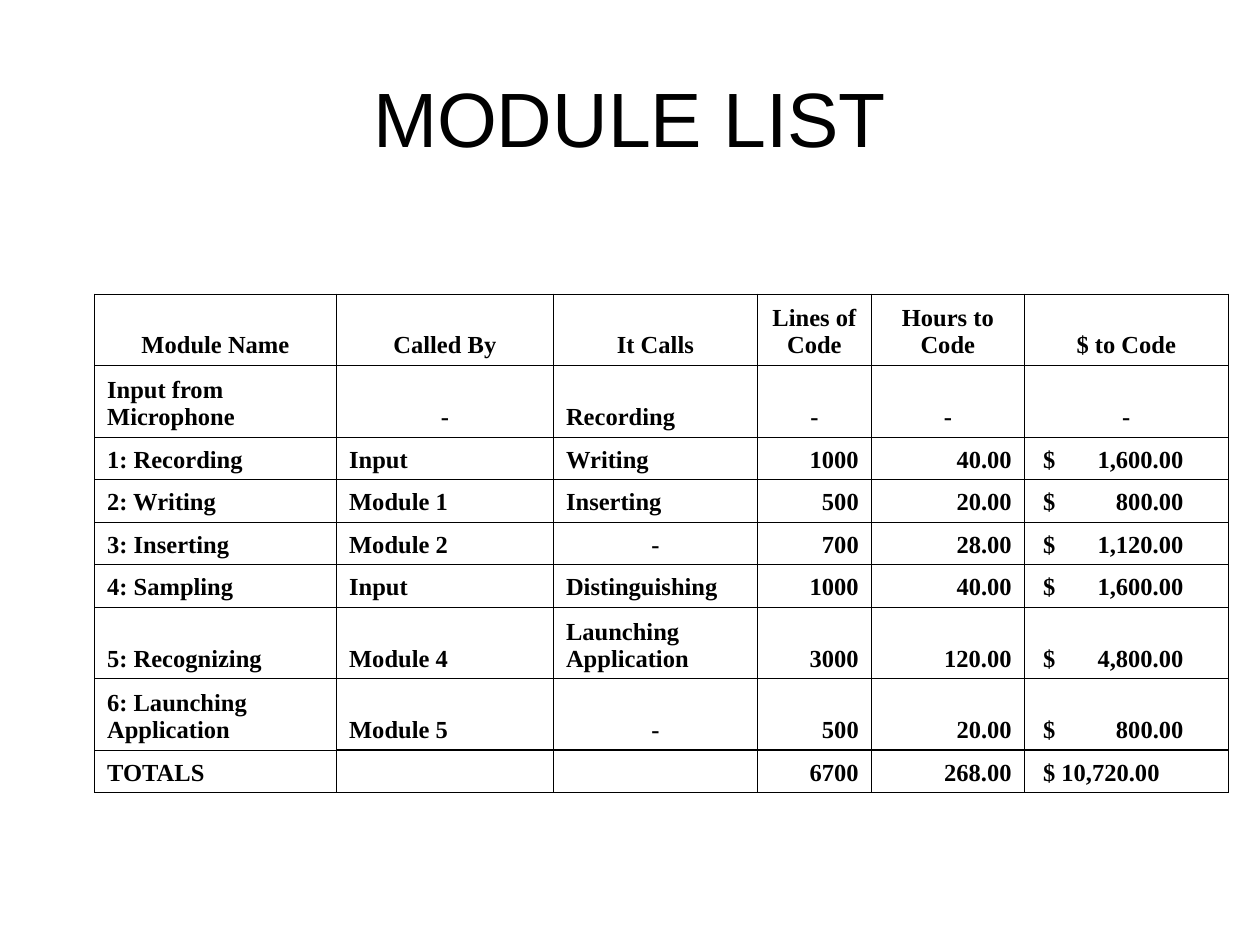
import lxml.etree
import pptx
import pptx.dml.color
import pptx.enum.text
import pptx.oxml.ns
import pptx.util

Pt = pptx.util.Pt
qn = pptx.oxml.ns.qn
ALIGN = pptx.enum.text.PP_ALIGN
ANCHOR = pptx.enum.text.MSO_ANCHOR

COLORS = {"ink": "000000"}
TITLE_FONT = {"name": "Arial", "size": Pt(44), "bold": False}
CELL_FONT = {"name": "Times New Roman", "size": Pt(14), "bold": True}
TITLE_BOX = (36, 21.6, 648, 90)
TABLE_BOX = (54, 168, 648, 285.1)
COLUMN_WIDTHS = [138.3, 124, 116.6, 65.1, 87.4, 116.6]
TALL_ROW, SHORT_ROW = 40.9, 24.3
TALL_ROWS = {0, 1, 6, 7}
THIN, THICK = 0.45, 0.96
COUNT_COLUMNS = {3, 4}
MONEY_INDENT, MONEY_TAB = 10.7, 80.3

MODULES = [
    ["Module Name", "Called By", "It Calls", "Lines of Code", "Hours to Code", "$ to Code"],
    ["Input from Microphone", "-", "Recording", "-", "-", "-"],
    ["1: Recording", "Input", "Writing", "1000", "40.00", "$\t1,600.00"],
    ["2: Writing", "Module 1", "Inserting", "500", "20.00", "$\t800.00"],
    ["3: Inserting", "Module 2", "-", "700", "28.00", "$\t1,120.00"],
    ["4: Sampling", "Input", "Distinguishing", "1000", "40.00", "$\t1,600.00"],
    ["5: Recognizing", "Module 4", "Launching Application", "3000", "120.00", "$\t4,800.00"],
    ["6: Launching Application", "Module 5", "-", "500", "20.00", "$\t800.00"],
    ["TOTALS", "", "", "6700", "268.00", "$ 10,720.00"],
]


def format_span(span, values):
    """Apply font values and the ink colour to a run."""
    for name, value in values.items():
        setattr(span.font, name, value)
    span.font.color.rgb = pptx.dml.color.RGBColor.from_string(COLORS["ink"])


def add_title(page, box, text):
    """Place and format the title placeholder in the box."""
    title = page.shapes.title
    title.left, title.top, title.width, title.height = map(Pt, box)
    title.text_frame.vertical_anchor = ANCHOR.MIDDLE
    para = title.text_frame.paragraphs[0]
    para.alignment = ALIGN.CENTER
    span = para.add_run()
    span.text = text
    format_span(span, TITLE_FONT)


def set_borders(cell, widths):
    """Draw the four borders of a cell, given widths by side."""
    properties = cell._tc.get_or_add_tcPr()
    for side, width in widths.items():
        line = lxml.etree.SubElement(properties, qn(f"a:ln{side}"), w=str(int(Pt(width))))
        fill = lxml.etree.SubElement(line, qn("a:solidFill"))
        lxml.etree.SubElement(fill, qn("a:srgbClr"), val=COLORS["ink"])


def add_right_tab(para, position):
    """Give a paragraph one right-aligned tab stop."""
    tabs = lxml.etree.SubElement(para._p.get_or_add_pPr(), qn("a:tabLst"))
    lxml.etree.SubElement(tabs, qn("a:tab"), pos=str(int(Pt(position))), algn="r")


def cell_alignment(text, row, column):
    """Choose the alignment that suits the content of a cell."""
    if row == 0 or text == "-":
        return ALIGN.CENTER
    return ALIGN.RIGHT if column in COUNT_COLUMNS else ALIGN.LEFT


def fill_cell(cell, text, row, column):
    """Write and format one cell of the module table."""
    last = len(MODULES) - 1
    above_totals = row == last - 1 and column > 0
    in_totals = row == last and column > 0
    set_borders(cell, {"L": THIN, "R": THIN, "T": THICK if in_totals else THIN,
                       "B": THICK if above_totals else THIN})
    cell.fill.background()
    cell.vertical_anchor = ANCHOR.BOTTOM
    para = cell.text_frame.paragraphs[0]
    para.alignment = cell_alignment(text, row, column)
    if row > 0 and text.startswith("$"):
        cell.margin_left = Pt(MONEY_INDENT)
        add_right_tab(para, MONEY_TAB)
    if text:
        span = para.add_run()
        span.text = text
        format_span(span, CELL_FONT)
    else:
        size = str(int(CELL_FONT["size"].pt * 100))
        lxml.etree.SubElement(para._p, qn("a:endParaRPr"), sz=size)


def add_module_table(page, box, rows):
    """Build the module table in the box."""
    frame = page.shapes.add_table(len(rows), len(COLUMN_WIDTHS), *map(Pt, box))
    table = frame.table
    table.first_row = table.horz_banding = False
    for column, width in zip(table.columns, COLUMN_WIDTHS):
        column.width = Pt(width)
    for row, texts in enumerate(rows):
        table.rows[row].height = Pt(TALL_ROW if row in TALL_ROWS else SHORT_ROW)
        for column, text in enumerate(texts):
            fill_cell(table.cell(row, column), text, row, column)


def main():
    """Build the deck and save it."""
    deck = pptx.Presentation()
    deck.slide_width, deck.slide_height = Pt(720), Pt(540)
    page = deck.slides.add_slide(deck.slide_layouts[5])
    add_title(page, TITLE_BOX, "MODULE LIST")
    add_module_table(page, TABLE_BOX, MODULES)
    deck.save("out.pptx")


if __name__ == "__main__":
    main()
